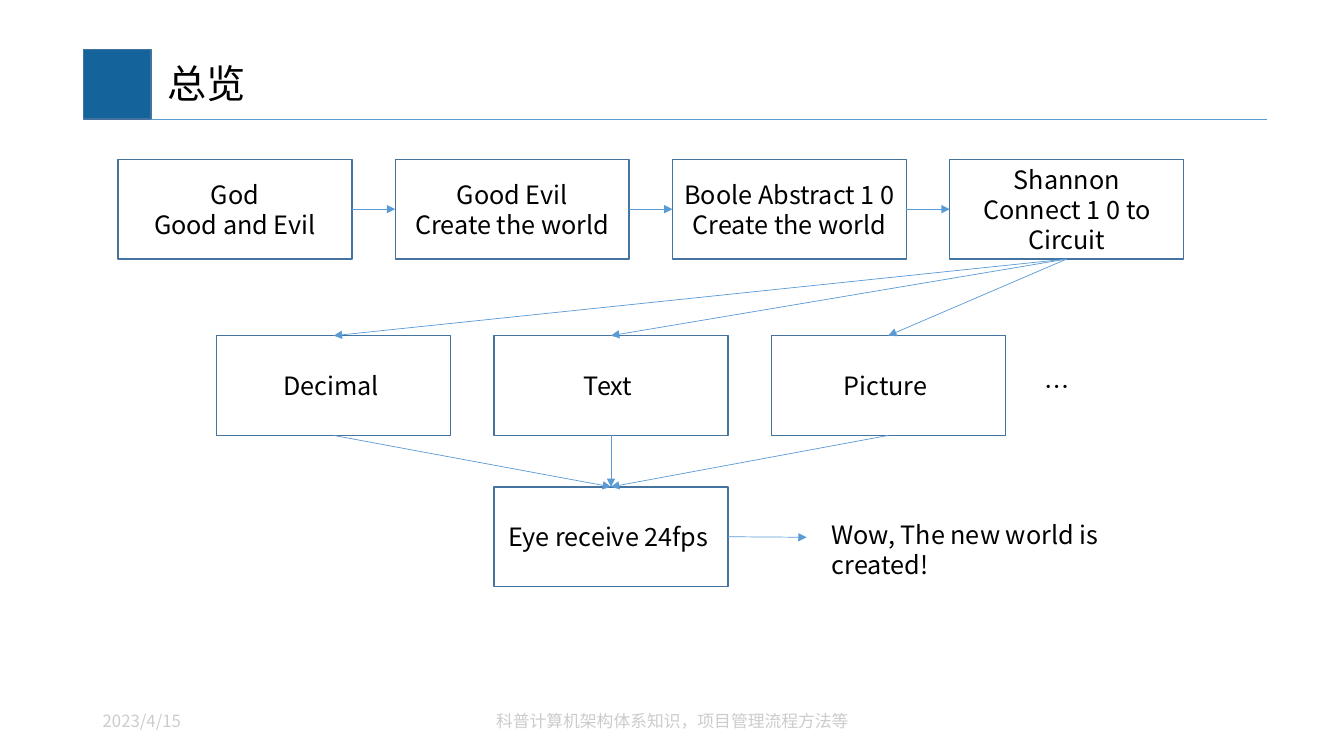
from lxml.etree import SubElement
from pptx import Presentation
from pptx.dml.color import RGBColor
from pptx.enum.shapes import MSO_CONNECTOR as Connector, MSO_SHAPE as Shape
from pptx.enum.text import MSO_ANCHOR as Anchor, PP_ALIGN as Align
from pptx.oxml.ns import qn
from pptx.util import Inches, Pt

BLACK = RGBColor(0x00, 0x00, 0x00)
GREY = RGBColor(0xCC, 0xCC, 0xCC)
BLUE = RGBColor(0x15, 0x63, 0x9B)
BORDER = RGBColor(0x43, 0x73, 0x9E)
ARROW = RGBColor(0x5B, 0x9B, 0xD5)
FONT = "Noto Sans CJK SC"

BOX_WIDTH, BOX_HEIGHT, BOX_STEP = 2.32, 0.99, 2.75
TOP, LEFT, BOTTOM, RIGHT = range(4)  # connection sites of a rectangle


def write_text(shape, text, size=18, color=BLACK, align=Align.LEFT,
               anchor=Anchor.MIDDLE, wrap=True, left_inset=0.1, spacing=1.0):
    frame = shape.text_frame
    frame.word_wrap = wrap
    frame.vertical_anchor = anchor
    frame.margin_left = Inches(left_inset)
    frame.text = text
    for paragraph in frame.paragraphs:
        paragraph.alignment = align
        paragraph.line_spacing = spacing
        for run in paragraph.runs:
            run.font.size = Pt(size)
            run.font.color.rgb = color
            run.font.name = FONT
            SubElement(run.font._element, qn("a:ea"), typeface=FONT)


def add_label(slide, text, left, top, width, height, **text_format):
    label = slide.shapes.add_textbox(
        Inches(left), Inches(top), Inches(width), Inches(height))
    write_text(label, text, **text_format)


def add_rectangle(slide, left, top, width, height, fill=None):
    shape = slide.shapes.add_shape(
        Shape.RECTANGLE, Inches(left), Inches(top), Inches(width), Inches(height))
    shape.shadow.inherit = False
    if fill is None:
        shape.fill.background()
    else:
        shape.fill.solid()
        shape.fill.fore_color.rgb = fill
    shape.line.color.rgb = BORDER
    shape.line.width = Pt(1)
    return shape


def add_box_row(slide, left, top, texts):
    boxes = []
    for index, text in enumerate(texts):
        box = add_rectangle(slide, left + index * BOX_STEP, top, BOX_WIDTH, BOX_HEIGHT)
        write_text(box, text, align=Align.CENTER)
        boxes.append(box)
    return boxes


def add_line(slide, start=(0, 0), end=(0, 0), arrow=False):
    line = slide.shapes.add_connector(
        Connector.STRAIGHT, *(Inches(value) for value in (*start, *end)))
    line.line.color.rgb = ARROW
    line.line.width = Pt(0.5)
    if arrow:
        SubElement(line.line._get_or_add_ln(), qn("a:tailEnd"), type="triangle")
    SubElement(line._element.spPr, qn("a:effectLst"))
    return line


def link(slide, source, source_site, target, target_site):
    arrow = add_line(slide, arrow=True)
    arrow.begin_connect(source, source_site)
    arrow.end_connect(target, target_site)


def main():
    presentation = Presentation()
    presentation.slide_width = Inches(13.33)
    presentation.slide_height = Inches(7.5)
    slide = presentation.slides.add_slide(presentation.slide_layouts[6])

    # Header
    add_rectangle(slide, 0.83, 0.49, 0.67, 0.69, fill=BLUE)
    add_line(slide, (1.5, 1.18), (12.57, 1.18))
    add_label(slide, "总览", 1.5, 0.5, 11.07, 0.7,
              size=28, left_inset=0.16, spacing=0.9)

    # Boxes
    history = add_box_row(slide, 1.17, 1.58, [
        "God\nGood and Evil",
        "Good Evil\nCreate the world",
        "Boole Abstract 1 0\nCreate the world",
        "Shannon\nConnect 1 0 to Circuit",
    ])
    encodings = add_box_row(slide, 2.15, 3.33, ["Decimal ", "Text ", "Picture "])
    [eye] = add_box_row(slide, 4.9, 4.83, ["Eye receive 24fps "])

    # Arrows
    for source, target in zip(history, history[1:]):
        link(slide, source, RIGHT, target, LEFT)
    for encoding in encodings:
        link(slide, history[-1], BOTTOM, encoding, TOP)
        link(slide, encoding, BOTTOM, eye, TOP)
    add_line(slide, (7.22, 5.33), (8, 5.33), arrow=True).begin_connect(eye, RIGHT)

    # Free labels
    add_label(slide, "Wow, The new world is created!", 8.15, 5.1, 3.65, 0.4,
              anchor=Anchor.TOP)
    add_label(slide, "…", 10.26, 3.63, 0.38, 0.4, anchor=Anchor.TOP, wrap=False)

    # Footer
    add_label(slide, "2023/4/15", 0.92, 6.95, 3, 0.4, size=12, color=GREY)
    add_label(slide, "科普计算机架构体系知识，项目管理流程方法等", 4.42, 6.95, 4.5, 0.4,
              size=12, color=GREY, align=Align.CENTER)

    presentation.save("out.pptx")


main()
